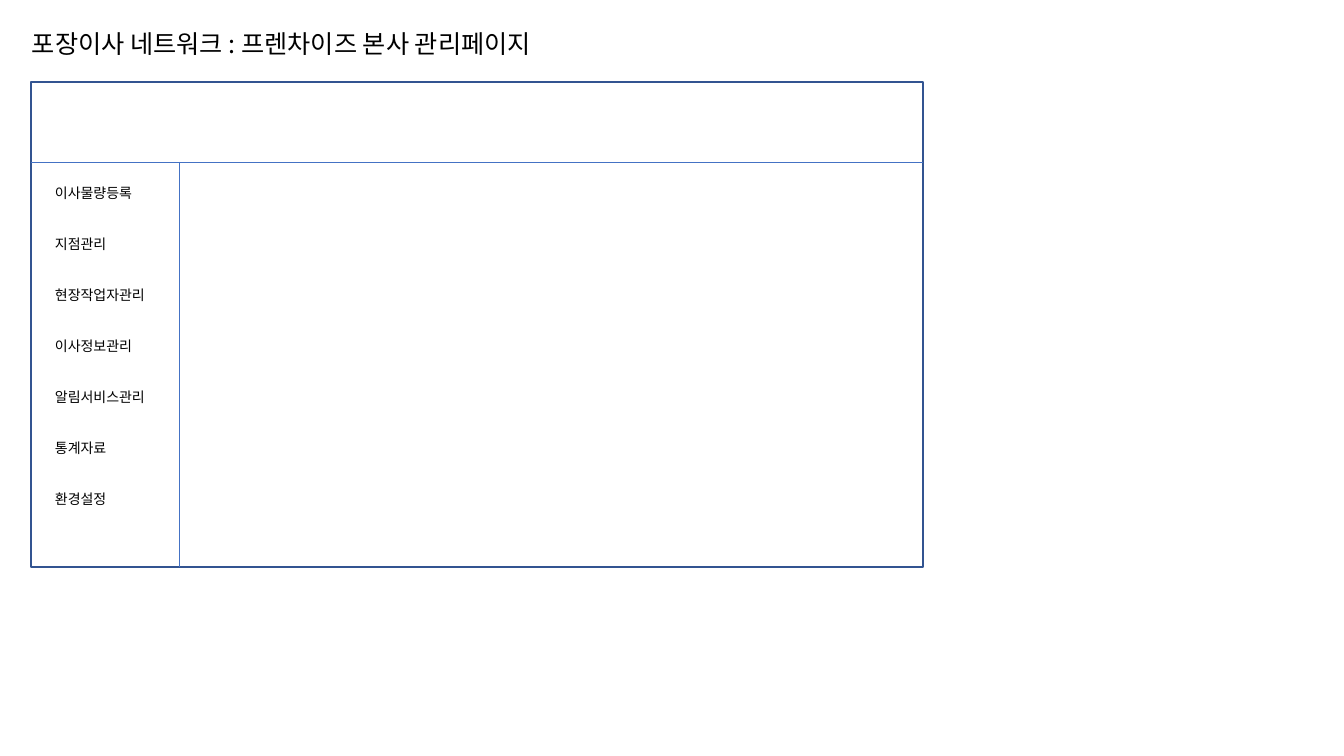
from pptx import Presentation
from pptx.dml.color import RGBColor
from pptx.enum.shapes import MSO_CONNECTOR, MSO_SHAPE
from pptx.enum.text import MSO_AUTO_SIZE
from pptx.oxml.ns import qn
from pptx.util import Pt
from lxml import etree

TITLE = "포장이사 네트워크 : 프렌차이즈 본사 관리페이지"
MENU = [
    "이사물량등록",
    "지점관리",
    "현장작업자관리",
    "이사정보관리",
    "알림서비스관리",
    "통계자료",
    "환경설정",
]

FONT = "Noto Sans CJK KR"
BLACK = RGBColor(0x00, 0x00, 0x00)
FRAME_BLUE = RGBColor(0x32, 0x54, 0x91)
DIVIDER_BLUE = RGBColor(0x44, 0x72, 0xC4)
RECTANGLE = MSO_SHAPE.RECTANGLE
STRAIGHT = MSO_CONNECTOR.STRAIGHT
GROW = MSO_AUTO_SIZE.SHAPE_TO_FIT_TEXT

SLIDE_WIDTH, SLIDE_HEIGHT = 1344, 756
FRAME_LEFT, FRAME_TOP, FRAME_WIDTH, FRAME_HEIGHT = 31, 82, 892, 485
HEADER_HEIGHT, SIDEBAR_WIDTH = 80, 148
MENU_LEFT, MENU_TOP, MENU_STEP = 45, 180, 51


def px(length):
    """Turn pixels into EMU."""
    return round(length * 914400 / 100.8)


def add_text(page, text, left, top, width, height, size, color=BLACK):
    """Add a one-line text box."""
    box = page.shapes.add_textbox(px(left), px(top), px(width), px(height))
    box.text_frame.word_wrap = False
    box.text_frame.auto_size = GROW
    span = box.text_frame.paragraphs[0].add_run()
    span.text = text
    span.font.name = FONT
    span.font.size = Pt(size)
    span.font.color.rgb = color
    east_asian = etree.SubElement(span.font._element, qn("a:ea"))
    east_asian.set("typeface", FONT)


def add_divider(page, start, end):
    """Draw a thin line between two points."""
    line = page.shapes.add_connector(STRAIGHT, *map(px, start + end))
    line.line.color.rgb = DIVIDER_BLUE
    line.line.width = Pt(0.5)
    etree.SubElement(line._element.spPr, qn("a:effectLst"))


def add_frame(page):
    """Draw the outline of the admin page with its header and sidebar."""
    frame = page.shapes.add_shape(
        RECTANGLE, px(FRAME_LEFT), px(FRAME_TOP), px(FRAME_WIDTH), px(FRAME_HEIGHT))
    frame.shadow.inherit = False
    frame.fill.background()
    frame.line.color.rgb = FRAME_BLUE
    frame.line.width = Pt(1)
    header_bottom = FRAME_TOP + HEADER_HEIGHT
    sidebar_right = FRAME_LEFT + SIDEBAR_WIDTH
    add_divider(page, (FRAME_LEFT, header_bottom),
                (FRAME_LEFT + FRAME_WIDTH, header_bottom))
    add_divider(page, (sidebar_right, header_bottom),
                (sidebar_right, FRAME_TOP + FRAME_HEIGHT))


deck = Presentation()
deck.slide_width, deck.slide_height = px(SLIDE_WIDTH), px(SLIDE_HEIGHT)
page = deck.slides.add_slide(deck.slide_layouts[6])

add_text(page, TITLE, 22, 23, 580, 40, size=18)
add_frame(page)
for row, label in enumerate(MENU):
    add_text(page, label, MENU_LEFT, MENU_TOP + row * MENU_STEP,
             20 + 14 * len(label), 27, size=10)

deck.save("out.pptx")
